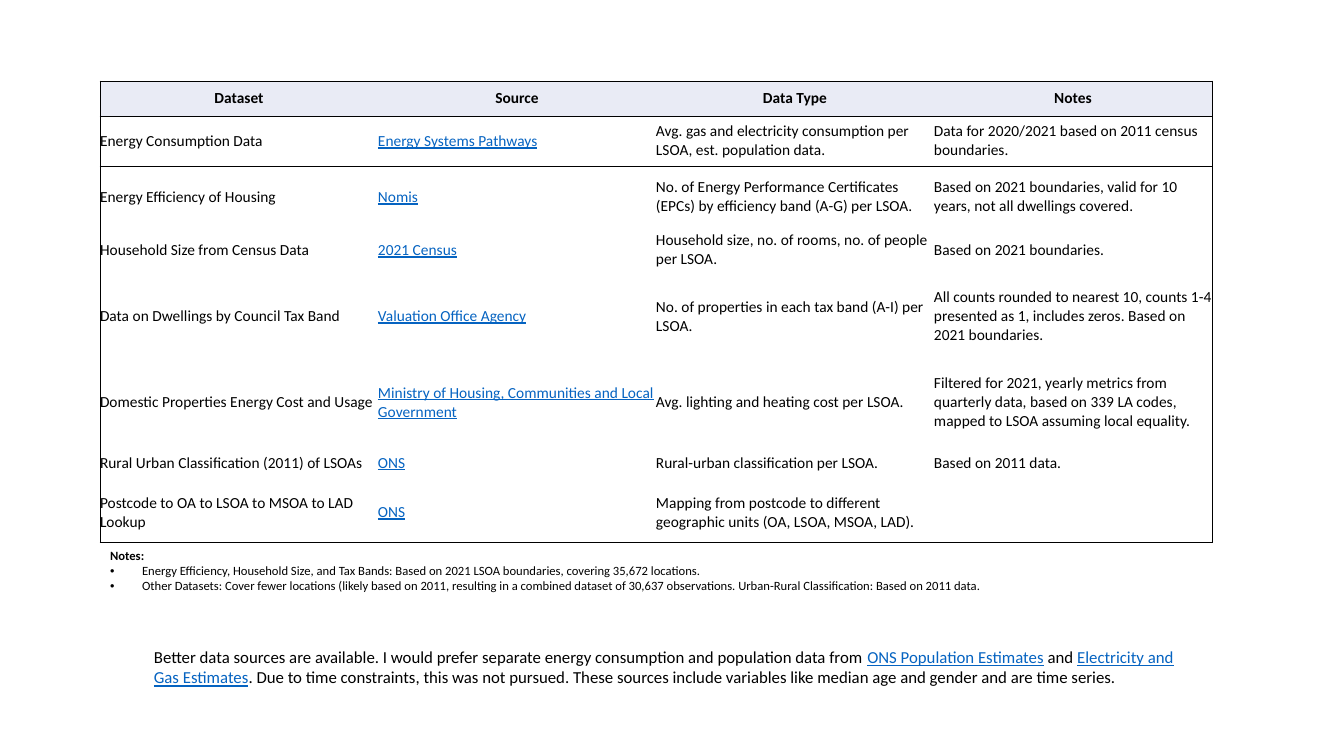
"""Build the slide that lists the datasets, their sources and the notes on coverage."""
from dataclasses import dataclass

from lxml.etree import SubElement
from pptx import Presentation
from pptx.dml.color import RGBColor
from pptx.enum.text import MSO_ANCHOR as Anchor, MSO_AUTO_SIZE as AutoSize, PP_ALIGN as Align
from pptx.oxml.ns import qn
from pptx.util import Pt

HEADINGS = ("Dataset", "Source", "Data Type", "Notes")
DATASETS = [
    ("Energy Consumption Data", "Energy Systems Pathways",
     "Avg. gas and electricity consumption per LSOA, est. population data.",
     "Data for 2020/2021 based on 2011 census boundaries."),
    ("Energy Efficiency of Housing", "Nomis",
     "No. of Energy Performance Certificates (EPCs) by efficiency band (A-G) per LSOA.",
     "Based on 2021 boundaries, valid for 10 years, not all dwellings covered."),
    ("Household Size from Census Data", "2021 Census",
     "Household size, no. of rooms, no. of people per LSOA.",
     "Based on 2021 boundaries."),
    ("Data on Dwellings by Council Tax Band", "Valuation Office Agency",
     "No. of properties in each tax band (A-I) per LSOA.",
     "All counts rounded to nearest 10, counts 1-4 presented as 1, includes zeros. "
     "Based on 2021 boundaries."),
    ("Domestic Properties Energy Cost and Usage",
     "Ministry of Housing, Communities and Local Government",
     "Avg. lighting and heating cost per LSOA.",
     "Filtered for 2021, yearly metrics from quarterly data, based on 339 LA codes, "
     "mapped to LSOA assuming local equality."),
    ("Rural Urban Classification (2011) of LSOAs", "ONS",
     "Rural-urban classification per LSOA.", "Based on 2011 data."),
    ("Postcode to OA to LSOA to MSOA to LAD Lookup", "ONS",
     "Mapping from postcode to different geographic units (OA, LSOA, MSOA, LAD).", ""),
]
COVERAGE_TITLE = "Notes:"
COVERAGE = [
    "Energy Efficiency, Household Size, and Tax Bands: Based on 2021 LSOA boundaries, "
    "covering 35,672 locations.",
    "Other Datasets: Cover fewer locations (likely based on 2011, resulting in a combined "
    "dataset of 30,637 observations. Urban-Rural Classification: Based on 2011 data.",
]
OUTLOOK = [
    ("Better data sources are available. I would prefer separate energy consumption and "
     "population data from ", False),
    ("ONS Population Estimates", True),
    (" and ", False),
    ("Electricity and Gas Estimates", True),
    (". Due to time constraints, this was not pursued. These sources include variables like "
     "median age and gender and are time series.", False),
]

SCALE = 914400 / 100.8
SLIDE_SIZE = (1344, 756)
TABLE_LEFT, TABLE_TOP, COLUMN_WIDTH = 100, 81, 278
ROW_HEIGHTS = (35, 50, 62, 44, 89, 83, 38, 61)
COVERAGE_BOX = (100, 543, 965, 92)
OUTLOOK_BOX = (144, 642, 1066, 50)
BULLET_INDENT = 32
RULED_BELOW = {-1, 0, 1, len(DATASETS)}


@dataclass(frozen=True)
class Theme:
    """Colours, font and type sizes."""
    font: str = "Calibri"
    ink: str = "000000"
    link: str = "0563C1"
    heading_fill: str = "E9EBF5"
    table_size: int = 11
    coverage_size: int = 9
    outlook_size: int = 12
    rule: float = 0.5


THEME = Theme()


def px(length):
    return round(length * SCALE)


def style(font, size, bold=False, link=False):
    font.name, font.size, font.bold, font.underline = THEME.font, Pt(size), bold, link
    font.color.rgb = RGBColor.from_string(THEME.link if link else THEME.ink)


def set_border(cell, side, ruled):
    line = SubElement(cell._tc.get_or_add_tcPr(), qn(f"a:ln{side}"), w=str(Pt(THEME.rule)))
    if ruled:
        SubElement(SubElement(line, qn("a:solidFill")), qn("a:srgbClr"), val=THEME.ink)
    else:
        SubElement(line, qn("a:noFill"))


def set_bullet(paragraph, bulleted):
    indent = px(BULLET_INDENT) if bulleted else 0
    properties = paragraph._p.get_or_add_pPr()
    properties.set("marL", str(indent))
    properties.set("indent", str(-indent))
    if bulleted:
        SubElement(properties, qn("a:buFont"), typeface="Arial")
        SubElement(properties, qn("a:buChar"), char="•")
    else:
        SubElement(properties, qn("a:buNone"))


def fill_cell(cell, text, row, column):
    heading = row == 0
    for side, ruled in (("L", column == 0), ("R", column == len(HEADINGS) - 1),
                        ("T", row - 1 in RULED_BELOW), ("B", row in RULED_BELOW)):
        set_border(cell, side, ruled)
    if heading:
        cell.fill.solid()
        cell.fill.fore_color.rgb = RGBColor.from_string(THEME.heading_fill)
    else:
        cell.fill.background()
    cell.margin_left = cell.margin_right = cell.margin_top = cell.margin_bottom = 0
    cell.vertical_anchor = Anchor.MIDDLE
    cell.text_frame.text = text
    paragraph = cell.text_frame.paragraphs[0]
    paragraph.alignment = Align.CENTER if heading else Align.LEFT
    style(paragraph.font, THEME.table_size)
    for run in paragraph.runs:
        style(run.font, THEME.table_size, heading, not heading and HEADINGS[column] == "Source")


def add_datasets(slide):
    rows = [HEADINGS, *DATASETS]
    datasets = slide.shapes.add_table(
        len(rows), len(HEADINGS), px(TABLE_LEFT), px(TABLE_TOP),
        px(COLUMN_WIDTH * len(HEADINGS)), px(sum(ROW_HEIGHTS))).table
    datasets.first_row = datasets.horz_banding = False
    for column in datasets.columns:
        column.width = px(COLUMN_WIDTH)
    for row, (height, texts) in enumerate(zip(ROW_HEIGHTS, rows)):
        datasets.rows[row].height = px(height)
        for column, text in enumerate(texts):
            fill_cell(datasets.cell(row, column), text, row, column)


def add_coverage(slide):
    coverage = slide.placeholders[1]
    coverage.left, coverage.top, coverage.width, coverage.height = map(px, COVERAGE_BOX)
    frame = coverage.text_frame
    frame.word_wrap, frame.auto_size = True, AutoSize.NONE
    frame.text = "\n".join([COVERAGE_TITLE, *COVERAGE])
    for index, paragraph in enumerate(frame.paragraphs):
        paragraph.space_before = Pt(0)
        set_bullet(paragraph, index > 0)
        style(paragraph.font, THEME.coverage_size)
        style(paragraph.runs[0].font, THEME.coverage_size, bold=index == 0)


def add_outlook(slide):
    frame = slide.shapes.add_textbox(*map(px, OUTLOOK_BOX)).text_frame
    frame.word_wrap = True
    for text, link in OUTLOOK:
        run = frame.paragraphs[0].add_run()
        run.text = text
        style(run.font, THEME.outlook_size, link=link)


def main():
    deck = Presentation()
    deck.slide_width, deck.slide_height = map(px, SLIDE_SIZE)
    slide = deck.slides.add_slide(deck.slide_layouts[1])
    title = slide.shapes.title._element
    title.getparent().remove(title)
    add_datasets(slide)
    add_coverage(slide)
    add_outlook(slide)
    deck.save("out.pptx")


if __name__ == "__main__":
    main()
